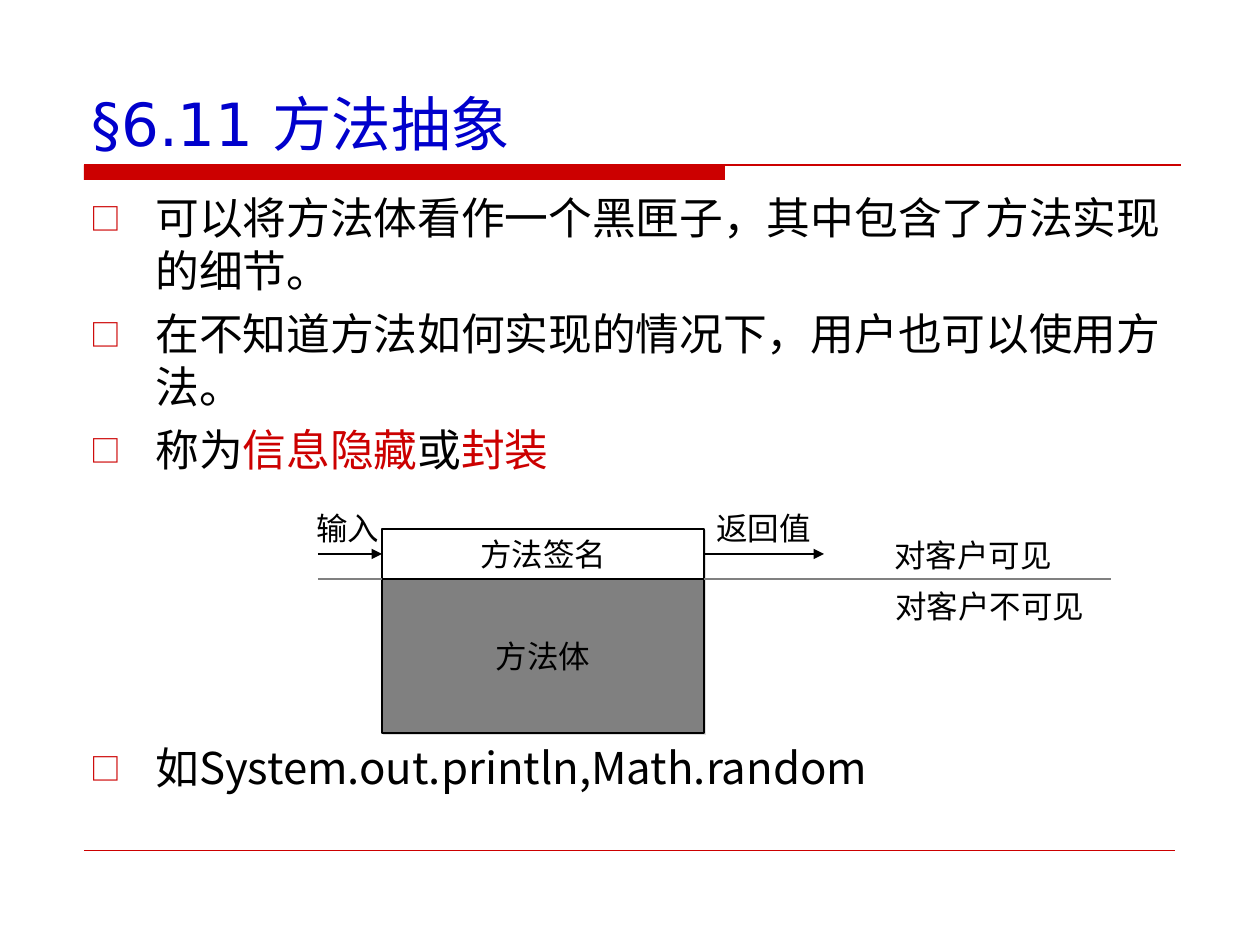
import pptx
import pptx.util
import pptx.dml.color
import pptx.enum.shapes
import pptx.enum.text
import pptx.oxml
import pptx.oxml.ns

PX = 914400 / 126
COLORS = {"blue": "0000CC", "red": "CC0000", "black": "000000", "white": "FFFFFF",
          "gray": "808080", "shadow": "DDDDDD"}
LATIN, CJK = "DejaVu Sans", "Noto Sans CJK SC"
ALIGN = pptx.enum.text.PP_ALIGN
ANCHOR = pptx.enum.text.MSO_ANCHOR
SPACING = {"line_spacing": pptx.util.Pt(30), "space_before": pptx.util.Pt(6.2)}
DIAGRAM_GAP = pptx.util.Pt(151.7)


def px(*lengths):
    return [pptx.util.Emu(round(length * PX)) for length in lengths]


def rgb(name):
    return pptx.dml.color.RGBColor.from_string(COLORS[name])


def apply(target, formats):
    for name, value in formats.items():
        setattr(target, name, value)


def add_xml(parent, xml):
    namespace = pptx.oxml.ns.nsdecls("a")
    element = pptx.oxml.parse_xml(xml.replace(">", f" {namespace}>", 1) if "/>" not in xml[:xml.index(">") + 1]
                                  else xml.replace("/>", f" {namespace}/>", 1))
    parent.append(element)


def add_run(paragraph, text, size, color="black", font=LATIN):
    run = paragraph.add_run()
    run.text = text
    apply(run.font, {"size": pptx.util.Pt(size), "name": font})
    run.font.color.rgb = rgb(color)
    add_xml(run.font._element, f'<a:ea typeface="{CJK}"/>')


def add_line(slide, start, end, color="black", width=0.75, arrow=False):
    line = slide.shapes.add_connector(pptx.enum.shapes.MSO_CONNECTOR.STRAIGHT, *px(*start, *end))
    line.line.color.rgb = rgb(color)
    line.line.width = pptx.util.Pt(width)
    if arrow:
        add_xml(line.line._get_or_add_ln(), '<a:tailEnd type="triangle"/>')
    add_xml(line._element.spPr, "<a:effectLst/>")


def add_box(slide, box, fill, text=None):
    shape = slide.shapes.add_shape(pptx.enum.shapes.MSO_SHAPE.RECTANGLE, *px(*box))
    shape.shadow.inherit = False
    shape.fill.solid()
    shape.fill.fore_color.rgb = rgb(fill)
    if text is None:
        shape.line.fill.background()
        return
    shape.line.color.rgb = rgb("black")
    shape.line.width = pptx.util.Pt(0.75)
    effects = shape._element.spPr.find(pptx.oxml.ns.qn("a:effectLst"))
    add_xml(effects, '<a:outerShdw dist="17780" dir="2700000" algn="ctr" rotWithShape="0">'
                     f'<a:srgbClr val="{COLORS["shadow"]}"/></a:outerShdw>')
    apply(shape.text_frame, {"word_wrap": False, "vertical_anchor": ANCHOR.MIDDLE})
    paragraph = shape.text_frame.paragraphs[0]
    paragraph.alignment = ALIGN.CENTER
    add_run(paragraph, text, 18)


def add_label(slide, box, text):
    frame = slide.shapes.add_textbox(*px(*box)).text_frame
    frame.word_wrap = False
    add_run(frame.paragraphs[0], text, 18)


def add_title(slide, box, text):
    title = slide.shapes.title
    apply(title, dict(zip(("left", "top", "width", "height"), px(*box))))
    apply(title.text_frame, {"vertical_anchor": ANCHOR.BOTTOM, "word_wrap": True})
    paragraph = title.text_frame.paragraphs[0]
    paragraph.alignment = ALIGN.LEFT
    add_run(paragraph, text, 34, "blue")


def add_rules(slide, left, top, bottom):
    add_box(slide, (left, top, 641, 15), "red")
    add_line(slide, (left, top), (left + 1097, top), "red")
    add_line(slide, (left, bottom), (left + 1091, bottom), "red", 0.25)


def add_bullets(slide, box, items):
    frame = slide.shapes.add_textbox(*px(*box)).text_frame
    frame.word_wrap = True
    for index, parts in enumerate(items):
        paragraph = frame.add_paragraph() if index else frame.paragraphs[0]
        apply(paragraph, SPACING)
        properties = paragraph._p.get_or_add_pPr()
        indent = px(65)[0]
        properties.set("marL", str(indent))
        properties.set("indent", str(-indent))
        add_xml(properties, f'<a:buClr><a:srgbClr val="{COLORS["red"]}"/></a:buClr>')
        add_xml(properties, '<a:buSzPct val="70000"/>')
        add_xml(properties, f'<a:buFont typeface="{CJK}"/>')
        add_xml(properties, '<a:buChar char="□"/>')
        for text, color in parts:
            add_run(paragraph, text, 25, color, CJK)
    # The last bullet sits below the diagram
    paragraph.space_before = DIAGRAM_GAP


def add_diagram(slide, left, top):
    box_left, box_right = left + 64, left + 386
    arrow_y, divider_y = top + 25, top + 50

    # Method box: visible signature above, hidden body below
    add_box(slide, (box_left, top, 322, 50), "white", "方法签名")
    add_box(slide, (box_left, divider_y, 322, 154), "gray", "方法体")

    # Input, return value and the visibility border
    add_line(slide, (left, arrow_y), (box_left, arrow_y), arrow=True)
    add_line(slide, (box_right, arrow_y), (box_right + 120, arrow_y), arrow=True)
    add_line(slide, (left, divider_y), (box_left, divider_y), "gray")
    add_line(slide, (box_right, divider_y), (left + 793, divider_y), "gray")

    for x, y, width, text in [(-14, -26, 88, "输入"), (386, -26, 120, "返回值"),
                              (564, 1, 183, "对客户可见"), (565, 52, 214, "对客户不可见")]:
        add_label(slide, (left + x, top + y, width, 50), text)


def main():
    presentation = pptx.Presentation()
    presentation.slide_width, presentation.slide_height = px(1260, 945)
    slide = presentation.slides.add_slide(presentation.slide_layouts[5])
    add_rules(slide, 84, 165, 850)
    add_title(slide, (79, 42, 1102, 123), "§6.11 方法抽象")
    add_bullets(slide, (78, 185, 1102, 645), [
        [("可以将方法体看作一个黑匣子，其中包含了方法实现的细节。", "black")],
        [("在不知道方法如何实现的情况下，用户也可以使用方法。", "black")],
        [("称为", "black"), ("信息隐藏", "red"), ("或", "black"), ("封装", "red")],
        [("如System.out.println,Math.random", "black")],
    ])
    add_diagram(slide, 318, 529)
    presentation.save("out.pptx")


if __name__ == "__main__":
    main()
